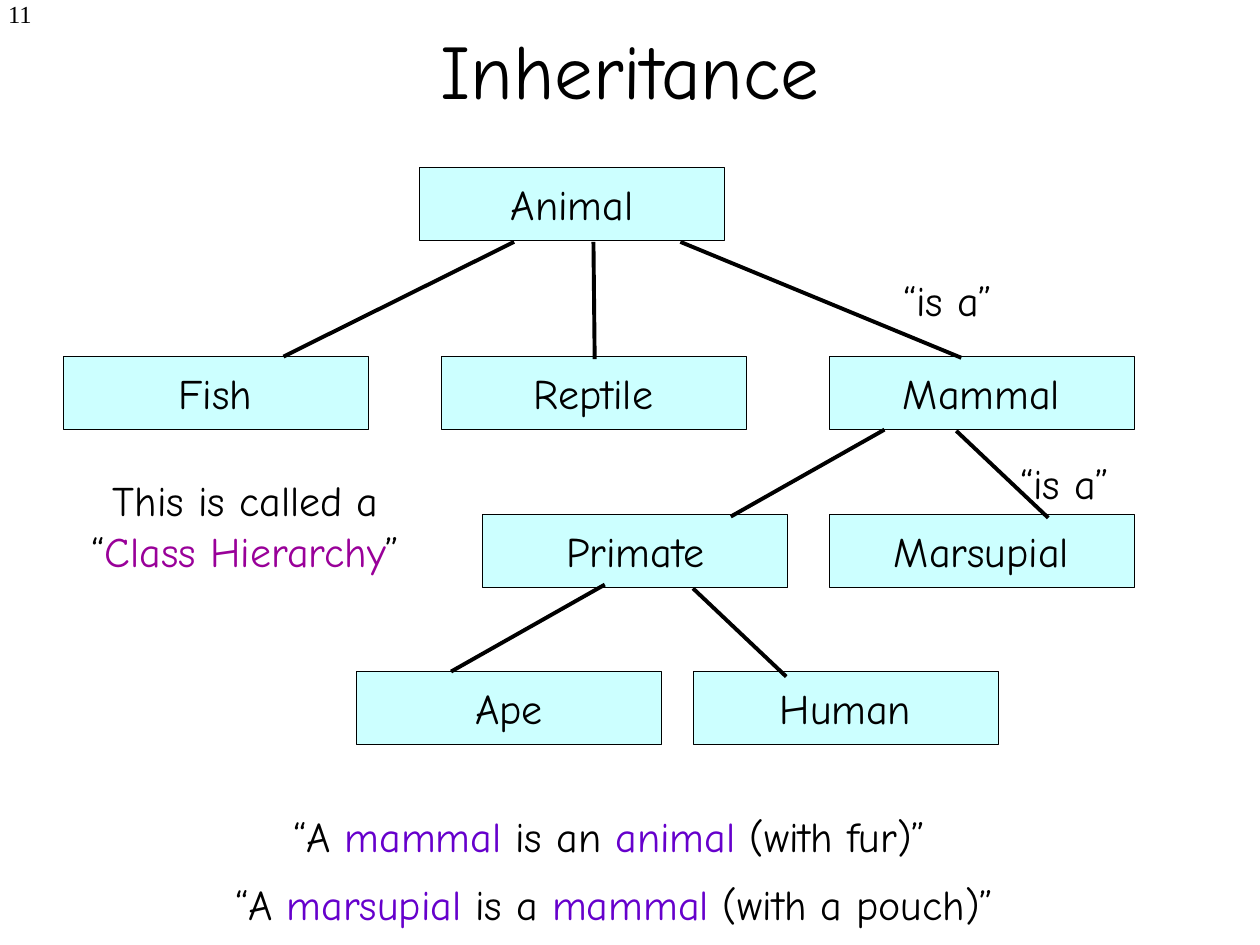
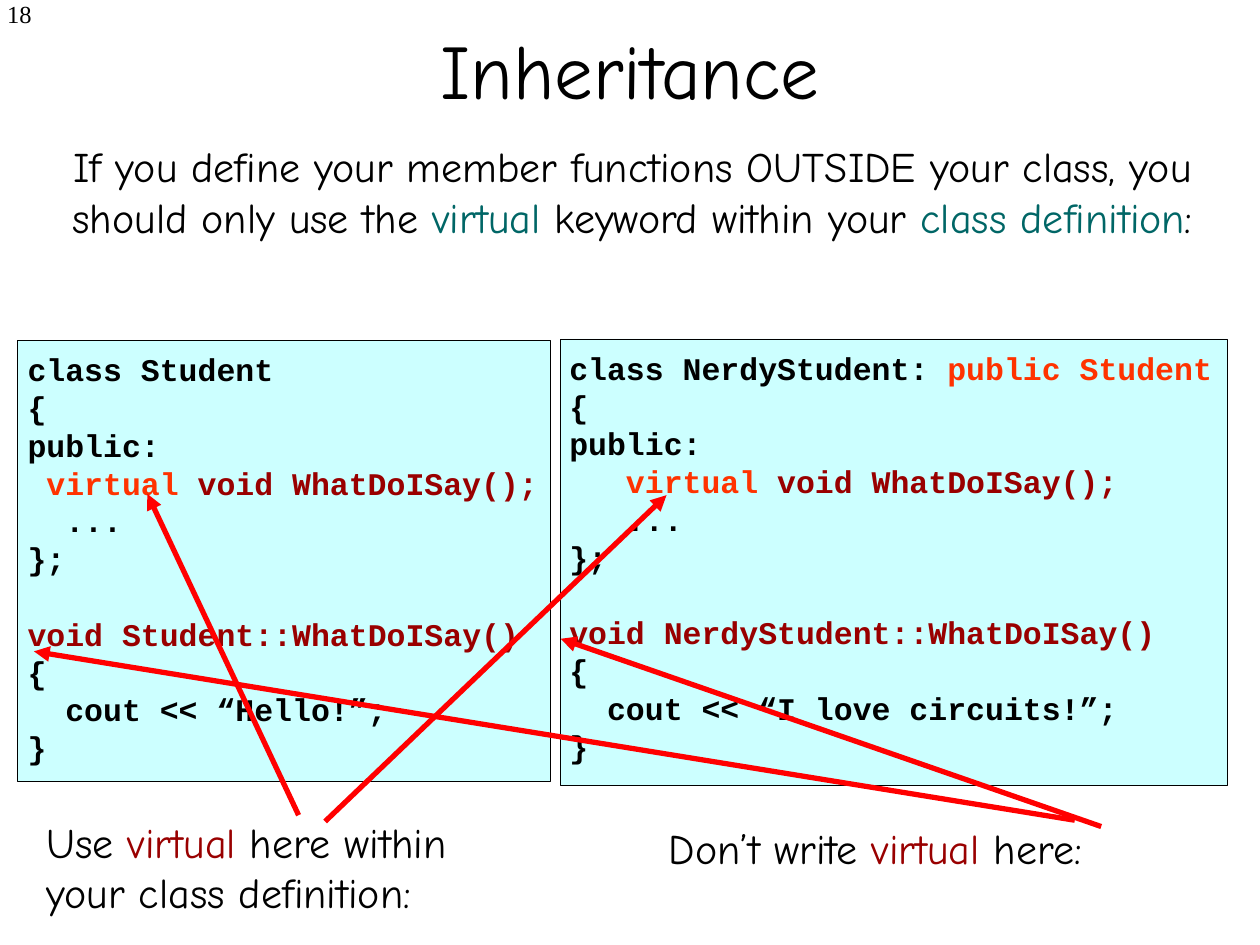
from lxml import etree
from pptx import Presentation
from pptx.dml.color import RGBColor
from pptx.enum.shapes import MSO_CONNECTOR, MSO_SHAPE
from pptx.enum.text import MSO_ANCHOR, PP_ALIGN
from pptx.oxml.ns import qn
from pptx.util import Inches, Pt

BLACK = RGBColor(0x00, 0x00, 0x00)
CYAN = RGBColor(0xCC, 0xFF, 0xFF)
PURPLE = RGBColor(0x66, 0x00, 0xCC)
PLUM = RGBColor(0x99, 0x00, 0x99)
TEAL = RGBColor(0x00, 0x66, 0x66)
ORANGE = RGBColor(0xFF, 0x33, 0x00)
MAROON = RGBColor(0x99, 0x00, 0x00)
RED = RGBColor(0xFF, 0x00, 0x00)

COMIC, COURIER, TIMES = "Comic Neue", "Courier New", "Times New Roman"
LEFT, CENTER, RIGHT = PP_ALIGN.LEFT, PP_ALIGN.CENTER, PP_ALIGN.RIGHT
MIDDLE = MSO_ANCHOR.MIDDLE
RECT, STRAIGHT = MSO_SHAPE.RECTANGLE, MSO_CONNECTOR.STRAIGHT

NODE_W, NODE_H = 2.42, 0.58
CHAR_W = 0.15
LEADING = 1.2


def add_runs(para, runs, size=24, font=COMIC, bold=False):
    """Add plain strings in black and (text, colour) pairs to a paragraph."""
    for item in runs:
        text, color = (item, BLACK) if isinstance(item, str) else item
        run = para.add_run()
        run.text = text
        run.font.size = Pt(size)
        run.font.name = font
        run.font.bold = bold
        run.font.color.rgb = color


def add_frame(slide, x, y, w, h):
    """Add an empty wrapping text box and return its text frame."""
    box = slide.shapes.add_textbox(Inches(x), Inches(y), Inches(w), Inches(h))
    box.text_frame.word_wrap = True
    return box.text_frame


def add_text(slide, x, y, w, h, runs, align=LEFT):
    """Add a body text of one paragraph."""
    para = add_frame(slide, x, y, w, h).paragraphs[0]
    para.alignment = align
    para.line_spacing = Pt(24 * LEADING)
    add_runs(para, runs)


def add_rect(slide, x, y, w, h):
    """Add a cyan rectangle with a hairline border."""
    rect = slide.shapes.add_shape(RECT, Inches(x), Inches(y), Inches(w), Inches(h))
    rect.shadow.inherit = False
    rect.fill.solid()
    rect.fill.fore_color.rgb = CYAN
    rect.line.color.rgb = BLACK
    rect.line.width = Pt(0.25)
    return rect


def add_node(slide, x, y, name):
    """Add a labelled class box of the hierarchy."""
    frame = add_rect(slide, x, y, NODE_W, NODE_H).text_frame
    frame.word_wrap = False
    frame.vertical_anchor = MIDDLE
    frame.paragraphs[0].alignment = CENTER
    add_runs(frame.paragraphs[0], [name])


def add_line(slide, ends, color=BLACK, width=2.25, arrow=False):
    """Add a straight line, with an arrowhead at its end if asked."""
    line = slide.shapes.add_connector(STRAIGHT, *[Inches(v) for v in ends])
    line.line.color.rgb = color
    line.line.width = Pt(width)
    if arrow:
        tail = etree.SubElement(line.line._get_or_add_ln(), qn("a:tailEnd"))
        tail.set("type", "triangle")
    etree.SubElement(line._element.spPr, qn("a:effectLst"))


def add_code(slide, rect, text, lines):
    """Add a code panel; each line is (indent, runs), None leaves a gap."""
    add_rect(slide, *rect)
    frame = add_frame(slide, *text)
    para, gap = frame.paragraphs[0], False
    for i, line in enumerate(lines):
        if line is None:
            gap = True
            continue
        if i:
            para = frame.add_paragraph()
        indent, runs = line
        para.line_spacing = Pt(18 * LEADING)
        if gap:
            para.space_before = Pt(18 * LEADING)
            gap = False
        if indent:
            para._p.get_or_add_pPr().set("marL", str(Inches(indent * CHAR_W)))
        add_runs(para, runs, 18, COURIER, True)


def list_class(head, name, pads, speech):
    """Return the code lines of a class and its member function."""
    return [
        (0, head), (0, ["{"]), (0, ["public:"]),
        (pads[0], [("virtual ", ORANGE), ("void WhatDoISay();", MAROON)]),
        (pads[1], ["..."]), (0, ["};"]), None,
        (0, [(f"void {name}::WhatDoISay()", MAROON)]), (0, ["{"]),
        (2, [f"cout << “{speech}”;"]), (0, ["}"]),
    ]


def add_slide(deck, number):
    """Add a blank slide with its number and the shared title."""
    slide = deck.slides.add_slide(deck.slide_layouts[6])
    frame = add_frame(slide, 0, -0.06, 0.35, 0.5)
    frame.margin_left = 0
    frame.paragraphs[0].alignment = RIGHT
    add_runs(frame.paragraphs[0], [number], 14, TIMES)
    frame = add_frame(slide, 0.75, -0.08, 8.5, 1.25)
    frame.vertical_anchor = MIDDLE
    frame.paragraphs[0].alignment = CENTER
    add_runs(frame.paragraphs[0], ["Inheritance"], 44)
    return slide


def draw_tree(deck):
    """Draw the class hierarchy slide."""
    slide = add_slide(deck, "11")
    rows = [
        [(3.33, "Animal")],
        [(0.5, "Fish"), (3.5, "Reptile"), (6.58, "Mammal")],
        [(3.83, "Primate"), (6.58, "Marsupial")],
        [(2.83, "Ape"), (5.5, "Human")],
    ]
    for y, row in zip((1.33, 2.83, 4.08, 5.33), rows):
        for x, name in row:
            add_node(slide, x, y, name)
    for ends in [
        (4.08, 1.92, 2.25, 2.83), (4.71, 1.92, 4.72, 2.85),
        (5.4, 1.92, 7.63, 2.84), (7.59, 3.42, 8.32, 4.11),
        (7.02, 3.41, 5.8, 4.1), (4.8, 4.64, 3.58, 5.33),
        (5.5, 4.67, 6.24, 5.37),
    ]:
        add_line(slide, ends)
    for x, y in [(7.07, 2.13), (8, 3.58)]:
        add_text(slide, x, y, 0.99, 0.5, ["“is a”"])
    add_text(slide, 2.23, 6.38, 5.49, 0.5, [
        "“A ", ("mammal", PURPLE), " is an ", ("animal", PURPLE), " (with fur)”"])
    add_text(slide, 1.77, 6.92, 6.47, 0.5, [
        "“A ", ("marsupial", PURPLE), " is a ", ("mammal", PURPLE), " (with a pouch)”"])
    add_text(slide, 0.48, 3.72, 2.94, 0.9, [
        "This is called a “", ("Class Hierarchy", PLUM), "”"], CENTER)


def draw_code(deck):
    """Draw the slide on where to write virtual."""
    slide = add_slide(deck, "18")
    add_text(slide, 0.37, 1.07, 9.3, 1.3, [
        "If you define your member functions OUTSIDE your class, "
        "you should only use the ", ("virtual", TEAL),
        " keyword within your ", ("class definition", TEAL), ":"], CENTER)
    add_code(slide, (0.14, 2.7, 4.23, 3.5), (0.12, 2.73, 4.32, 3.4),
             list_class(["class Student"], "Student", (1, 2), "Hello!"))
    add_code(slide, (4.45, 2.69, 5.29, 3.54), (4.42, 2.72, 5.4, 3.4),
             list_class(["class NerdyStudent: ", ("public Student", ORANGE)],
                        "NerdyStudent", (3, 3), "I love circuits!"))
    add_text(slide, 0.27, 6.43, 3.76, 0.9, [
        "Use ", ("virtual", MAROON), " here within your class definition:"])
    add_text(slide, 5.21, 6.48, 4.05, 0.5, [
        "Don’t write ", ("virtual", MAROON), " here:"])
    for ends in [
        (2.37, 6.47, 1.17, 3.92), (2.58, 6.52, 5.29, 3.93),
        (8.53, 6.51, 0.27, 5.17), (8.74, 6.56, 4.45, 5.07),
    ]:
        add_line(slide, ends, RED, 3, True)


def main():
    """Build both slides and save the deck."""
    deck = Presentation()
    deck.slide_width, deck.slide_height = Inches(10), Inches(7.5)
    draw_tree(deck)
    draw_code(deck)
    deck.save("out.pptx")


main()
